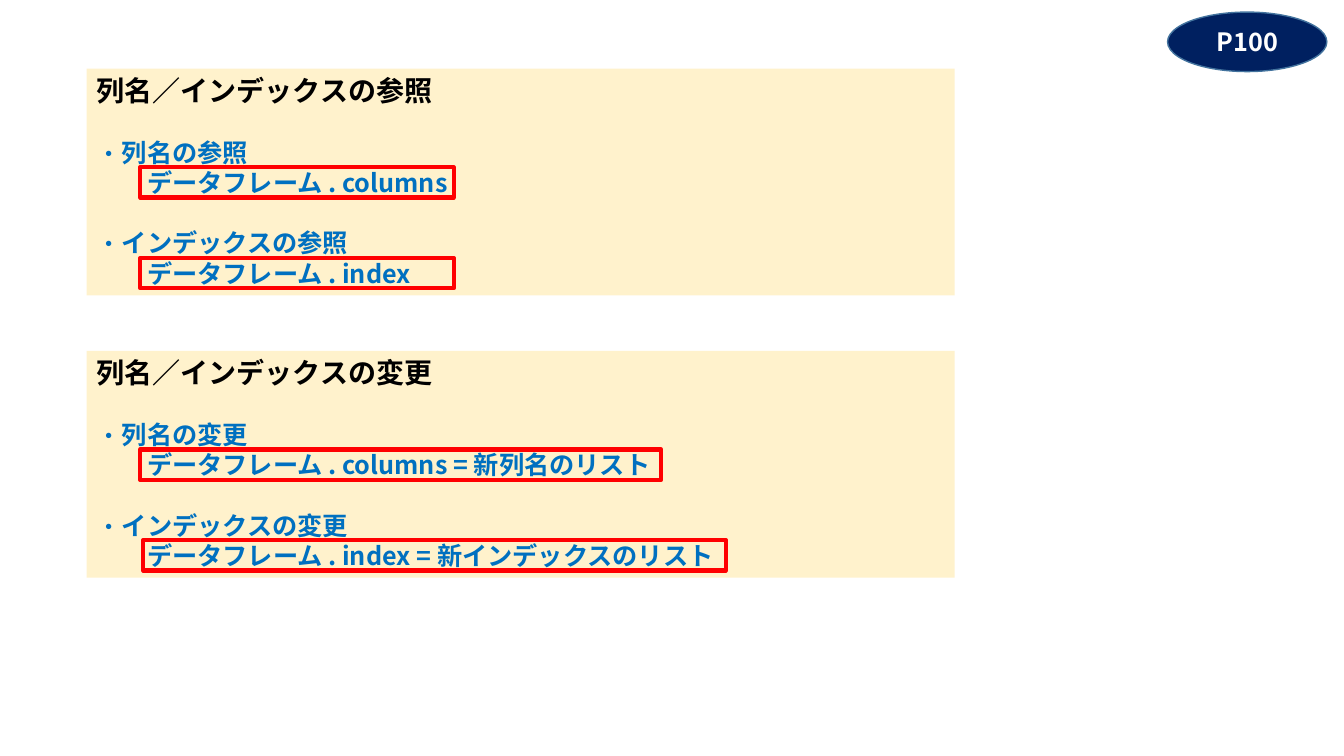
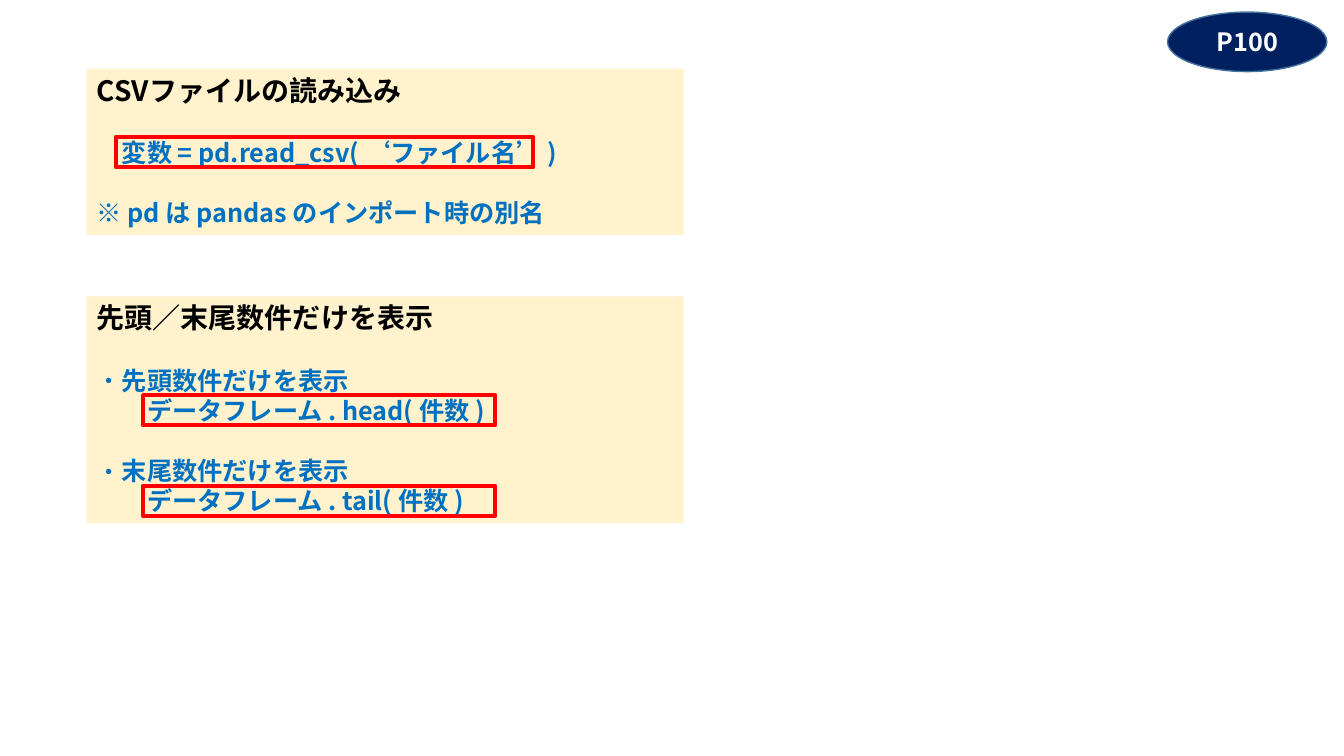
"""Build two slides of data frame syntax cards with framed code lines."""
from dataclasses import dataclass

from lxml import etree
from pptx import Presentation
from pptx.dml.color import RGBColor
from pptx.enum.shapes import MSO_SHAPE
from pptx.enum.text import MSO_ANCHOR, MSO_AUTO_SIZE, PP_ALIGN
from pptx.oxml.ns import qn
from pptx.util import Inches, Pt

RECT, OVAL = MSO_SHAPE.RECTANGLE, MSO_SHAPE.OVAL
TOP, MIDDLE = MSO_ANCHOR.TOP, MSO_ANCHOR.MIDDLE
LEFT, CENTER = PP_ALIGN.LEFT, PP_ALIGN.CENTER
FIXED_SIZE = MSO_AUTO_SIZE.NONE


@dataclass(frozen=True)
class Theme:
    font: str = "Noto Sans CJK JP"
    panel: str = "FFF2CC"
    heading: str = "000000"
    body: str = "0070C0"
    frame: str = "FF0000"
    badge: str = "002060"
    badge_edge: str = "43739E"
    badge_text: str = "FFFFFF"
    heading_size: float = 20
    body_size: float = 18
    frame_weight: float = 3
    badge_weight: float = 1


@dataclass(frozen=True)
class Line:
    text: str
    indent: float = 0
    bullet: bool = False
    gap: bool = False
    frame: tuple = ()


THEME = Theme()
PANEL_LEFT = 0.86
ROW = 0.3
HEADING_ROW = 0.33
FIRST_FRAME = 0.68
PANEL_BASE = 0.45
BULLET_INDENT = 0.25
CODE_INDENT = 0.5


def rgb(value):
    return RGBColor.from_string(value)


def add_block(slide, kind, box, fill=None, edge=None, weight=0):
    block = slide.shapes.add_shape(kind, *(Inches(length) for length in box))
    block.shadow.inherit = False
    if fill:
        block.fill.solid()
        block.fill.fore_color.rgb = rgb(fill)
    else:
        block.fill.background()
    if edge:
        block.line.color.rgb = rgb(edge)
        block.line.width = Pt(weight)
    else:
        block.line.fill.background()
    return block


def set_frame(block, anchor):
    settings = {"word_wrap": True, "auto_size": FIXED_SIZE, "vertical_anchor": anchor}
    for name, value in settings.items():
        setattr(block.text_frame, name, value)
    return block.text_frame


def write(paragraph, text, size, color, **layout):
    for name, value in layout.items():
        setattr(paragraph, name, value)
    run = paragraph.add_run()
    run.text = text
    for name, value in {"size": Pt(size), "bold": True, "name": THEME.font}.items():
        setattr(run.font, name, value)
    run.font.color.rgb = rgb(color)
    east_asian = etree.SubElement(run.font._element, qn("a:ea"))
    east_asian.set("typeface", THEME.font)


def set_indent(paragraph, indent, bullet):
    properties = paragraph._p.get_or_add_pPr()
    properties.set("marL", str(Inches(indent)))
    properties.set("indent", str(-Inches(indent) if bullet else 0))
    if bullet:
        etree.SubElement(properties, qn("a:buFont")).set("typeface", THEME.font)
        etree.SubElement(properties, qn("a:buChar")).set("char", "・")
    else:
        etree.SubElement(properties, qn("a:buNone"))


def add_panel(slide, top, width, heading, lines):
    rows = len(lines) + sum(line.gap for line in lines)
    box = (PANEL_LEFT, top, width, PANEL_BASE + ROW * rows)
    content = set_frame(add_block(slide, RECT, box, THEME.panel), TOP)
    write(content.paragraphs[0], heading, THEME.heading_size, THEME.heading,
          alignment=LEFT, line_spacing=Inches(HEADING_ROW))
    row = -1
    for line in lines:
        paragraph = content.add_paragraph()
        write(paragraph, line.text, THEME.body_size, THEME.body, alignment=LEFT,
              line_spacing=Inches(ROW), space_before=Inches(ROW * line.gap))
        set_indent(paragraph, line.indent, line.bullet)
        row += line.gap
        if line.frame:
            left, frame_width = line.frame
            frame_top = top + FIRST_FRAME + ROW * row
            add_block(slide, RECT, (left, frame_top, frame_width, ROW),
                      edge=THEME.frame, weight=THEME.frame_weight)
        row += 1


def add_badge(slide, label):
    badge = add_block(slide, OVAL, (11.58, 0.12, 1.58, 0.59), THEME.badge,
                      THEME.badge_edge, THEME.badge_weight)
    write(set_frame(badge, MIDDLE).paragraphs[0], label, THEME.body_size,
          THEME.badge_text, alignment=CENTER)


def entry(title, code, left, width):
    return [Line(title, BULLET_INDENT, bullet=True, gap=True),
            Line(code, CODE_INDENT, frame=(left, width))]


def main():
    slides = [
        (8.61, [
            (0.68, "列名／インデックスの参照",
             entry("列名の参照", "データフレーム . columns", 1.39, 3.11)
             + entry("インデックスの参照", "データフレーム . index", 1.39, 3.11)),
            (3.48, "列名／インデックスの変更",
             entry("列名の変更", "データフレーム . columns = 新列名のリスト", 1.39, 5.17)
             + entry("インデックスの変更",
                     "データフレーム . index = 新インデックスのリスト", 1.42, 5.78)),
        ]),
        (5.92, [
            (0.68, "CSVファイルの読み込み",
             [Line("変数 = pd.read_csv( ‘ファイル名’ )", BULLET_INDENT, gap=True,
                   frame=(1.15, 4.14)),
              Line("※ pd は pandas のインポート時の別名", gap=True)]),
            (2.94, "先頭／末尾数件だけを表示",
             entry("先頭数件だけを表示", "データフレーム . head( 件数 )", 1.42, 3.49)
             + entry("末尾数件だけを表示", "データフレーム . tail( 件数 )", 1.42, 3.49)),
        ]),
    ]
    deck = Presentation()
    deck.slide_width, deck.slide_height = Inches(13.33), Inches(7.5)
    blank = deck.slide_layouts.get_by_name("Blank")
    for width, panels in slides:
        slide = deck.slides.add_slide(blank)
        for top, heading, lines in panels:
            add_panel(slide, top, width, heading, lines)
        add_badge(slide, "P100")
    deck.save("out.pptx")


main()
